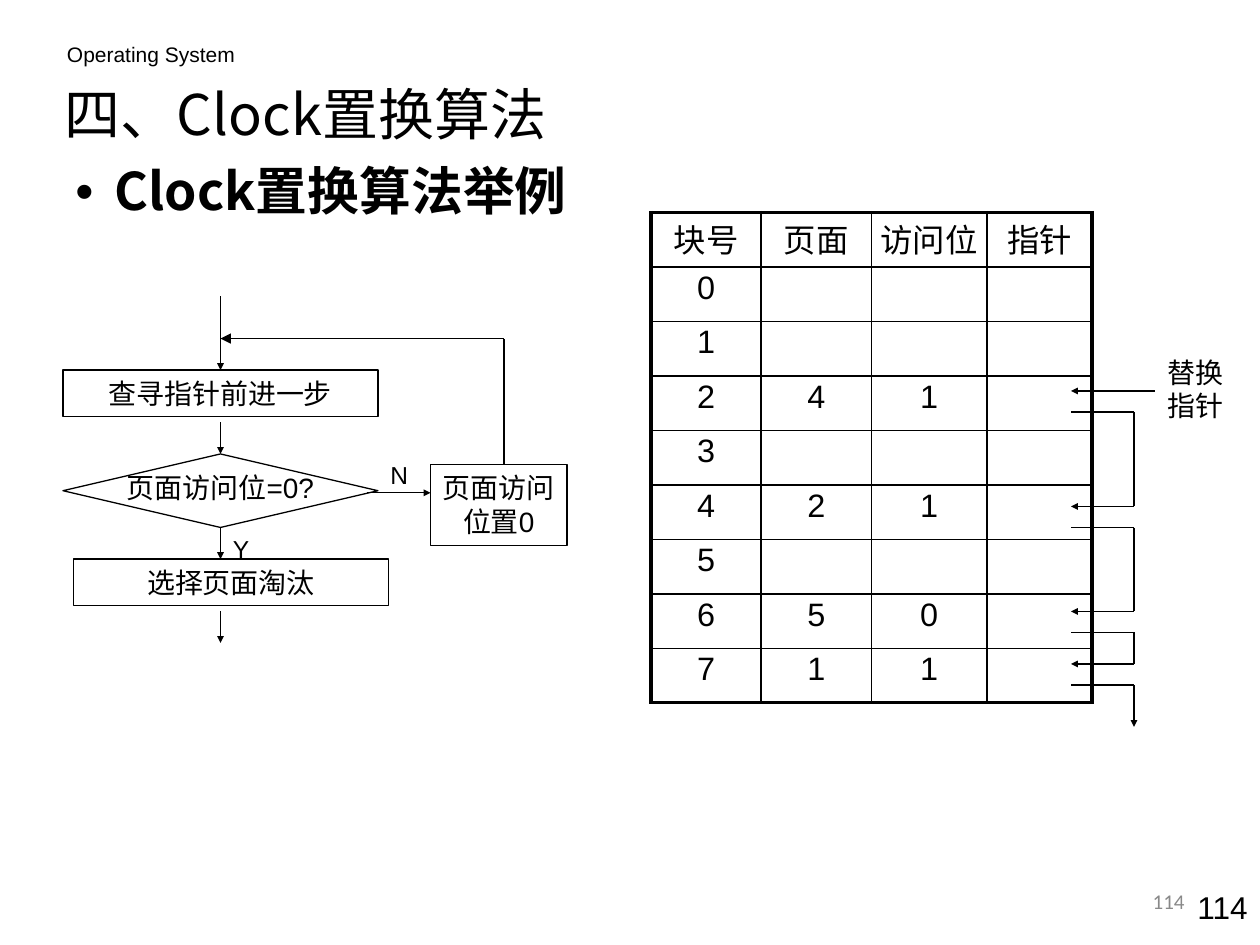
from itertools import pairwise

from lxml.etree import SubElement
from pptx import Presentation
from pptx.dml.color import RGBColor
from pptx.enum.shapes import MSO_CONNECTOR, MSO_SHAPE
from pptx.enum.text import MSO_ANCHOR, PP_ALIGN
from pptx.oxml.ns import qn
from pptx.util import Inches, Pt

UNITS_PER_INCH = 12
ROW_ORIGIN = 0.02
BLACK, GRAY = "000000", "898989"
SANS, CJK = "Arial", "Noto Sans CJK SC"


def color(hex_text):
    return RGBColor.from_string(hex_text)


def span(units):
    return Inches(units / UNITS_PER_INCH)


def place(column, row):
    """Convert a grid point to slide coordinates."""
    return span(column), span(row) + Inches(ROW_ORIGIN)


def set_values(target, values):
    for name, value in values.items():
        setattr(target, name, value)


class SlideBuilder:
    """Holds the drawing style and the slide; lengths are twelfths of an inch."""

    line_width = 0.75
    cell_margins = {"margin_left": 0, "margin_right": 0,
                    "margin_top": Inches(0.05), "margin_bottom": Inches(0.05)}

    def __init__(self, slide):
        self.slide = slide

    def fill_frame(self, frame, text, size, align=PP_ALIGN.LEFT, font=SANS,
                   text_color=BLACK, bold=False, spacing=1.0):
        paragraph = frame.paragraphs[0]
        set_values(paragraph, {"alignment": align, "line_spacing": spacing})
        run = paragraph.add_run()
        run.text = text
        set_values(run.font, {"name": font, "size": Pt(size), "bold": bold})
        run.font.color.rgb = color(text_color)
        SubElement(run.font._element, qn("a:ea")).set("typeface", CJK)
        return paragraph

    def text(self, box, text, size, anchor=MSO_ANCHOR.TOP, **style):
        column, row, width, height = box
        shape = self.slide.shapes.add_textbox(*place(column, row), span(width), span(height))
        set_values(shape.text_frame, {"word_wrap": True, "vertical_anchor": anchor})
        return self.fill_frame(shape.text_frame, text, size, **style)

    def bullet(self, box, text, size, indent, **style):
        paragraph = self.text(box, text, size, **style)
        properties = paragraph._p.get_or_add_pPr()
        properties.set("marL", str(Inches(indent)))
        properties.set("indent", str(-Inches(indent)))
        SubElement(properties, qn("a:buFont")).set("typeface", SANS)
        SubElement(properties, qn("a:buChar")).set("char", "•")

    def outline(self, kind, box, text=""):
        column, row, width, height = box
        shape = self.slide.shapes.add_shape(kind, *place(column, row), span(width), span(height))
        shape.shadow.inherit = False
        shape.fill.background()
        shape.line.color.rgb = color(BLACK)
        shape.line.width = Pt(self.line_width)
        if text:
            set_values(shape.text_frame, {"word_wrap": True, "vertical_anchor": MSO_ANCHOR.TOP})
            self.fill_frame(shape.text_frame, text, 16, align=PP_ALIGN.CENTER)

    def route(self, *points, head="sm"):
        """Join the points with straight lines; the last one ends in an arrowhead."""
        for start, end in pairwise(points):
            connector = self.slide.shapes.add_connector(
                MSO_CONNECTOR.STRAIGHT, *place(*start), *place(*end))
            connector.line.color.rgb = color(BLACK)
            connector.line.width = Pt(self.line_width)
            SubElement(connector._element.spPr, qn("a:effectLst"))
        tail = SubElement(connector.line._get_or_add_ln(), qn("a:tailEnd"))
        for name, value in {"type": "triangle", "w": head, "len": head}.items():
            tail.set(name, value)

    def border(self, cell, side, width):
        line = SubElement(cell._tc.get_or_add_tcPr(), qn(f"a:ln{side}"), w=str(Pt(width)))
        fill = SubElement(line, qn("a:solidFill"))
        SubElement(fill, qn("a:srgbClr")).set("val", BLACK)

    def table(self, corner, widths, row_height, rows, inner=1, outer=2.25):
        last_row, last_column = len(rows) - 1, len(widths) - 1
        frame = self.slide.shapes.add_table(
            len(rows), len(widths), *place(*corner),
            span(sum(widths)), span(row_height * len(rows)))
        table = frame.table
        set_values(table, {"first_row": False, "horz_banding": False})
        for column, width in zip(table.columns, widths):
            column.width = span(width)
        for row_index, row in enumerate(rows):
            table.rows[row_index].height = span(row_height)
            for column_index, text in enumerate(row):
                cell = table.cell(row_index, column_index)
                set_values(cell, self.cell_margins)
                edges = {"L": column_index == 0, "R": column_index == last_column,
                         "T": row_index == 0, "B": row_index == last_row}
                for side, is_outer in edges.items():
                    self.border(cell, side, outer if is_outer else inner)
                cell.fill.background()
                if text:
                    self.fill_frame(cell.text_frame, text, 18.5,
                                    align=PP_ALIGN.CENTER, spacing=0.9)


def add_headings(builder):
    builder.text((5.2, 3.1, 49.2, 3.6), "Operating System", 12)
    builder.text((5, 6, 107, 9), "四、Clock置换算法", 32, anchor=MSO_ANCHOR.MIDDLE, font=CJK)
    builder.bullet((6, 15, 53, 9), "Clock置换算法举例", 29.6, 0.31,
                   font=CJK, bold=True, spacing=0.9)
    builder.text((110, 83.75, 10, 4.8), "114", 18, align=PP_ALIGN.RIGHT)
    builder.text((86, 83.15, 28, 4.8), "114", 12, anchor=MSO_ANCHOR.MIDDLE,
                 align=PP_ALIGN.RIGHT, font="Calibri", text_color=GRAY)


def add_frame_table(builder):
    loaded_pages = {2: ("4", "1"), 4: ("2", "1"), 6: ("5", "0"), 7: ("1", "1")}
    rows = [("块号", "页面", "访问位", "指针")]
    rows += [(str(block), *loaded_pages.get(block, ("", "")), "") for block in range(8)]
    builder.table((62, 20), (10.5, 10.5, 11, 10), 5.19, rows)

    cell_end, bend = 102, 108
    for leave, enter in ((39, 48), (50, 58), (60, 63)):
        builder.route((cell_end, leave), (bend, leave), (bend, enter), (cell_end, enter))
    builder.route((cell_end, 65), (bend, 65), (bend, 69))
    builder.route((110, 37), (cell_end, 37))
    builder.text((110, 33, 10, 7.7), "替换指针", 16)


def add_flowchart(builder):
    axis, loop_column, loop_row = 21, 48, 32
    builder.outline(MSO_SHAPE.RECTANGLE, (6, 35, 30, 4.4), "查寻指针前进一步")
    builder.outline(MSO_SHAPE.RECTANGLE, (7, 53, 30, 4.4), "选择页面淘汰")
    builder.outline(MSO_SHAPE.RECTANGLE, (41, 44, 13, 7.7), "页面访问位置0")
    builder.outline(MSO_SHAPE.DIAMOND, (6, 43, 30, 7))
    builder.text((6, 44, 30, 4.4), "页面访问位=0?", 16, align=PP_ALIGN.CENTER)
    for top, bottom in ((28, 35), (40, 43), (50, 53), (58, 61)):
        builder.route((axis, top), (axis, bottom))
    builder.route((35, 46.7), (41, 46.7))
    builder.route((loop_column, 44), (loop_column, loop_row), (axis, loop_row), head="med")
    builder.text((36, 43, 6, 4), "N", 14)
    builder.text((axis, 50, 6, 4), "Y", 14)


def main():
    presentation = Presentation()
    set_values(presentation, {"slide_width": Inches(10), "slide_height": Inches(7.5)})
    builder = SlideBuilder(presentation.slides.add_slide(presentation.slide_layouts[6]))
    add_headings(builder)
    add_frame_table(builder)
    add_flowchart(builder)
    presentation.save("out.pptx")


if __name__ == "__main__":
    main()
